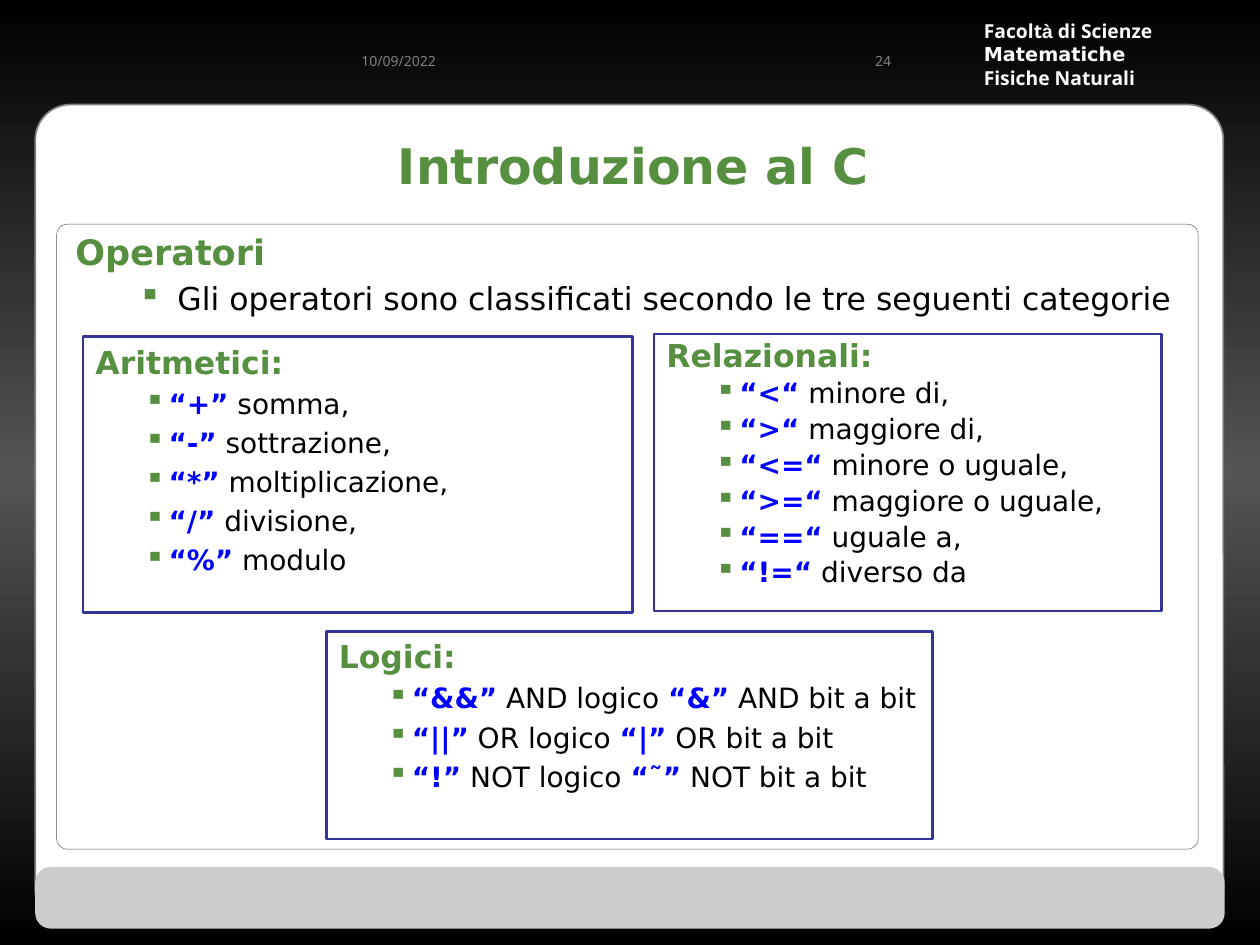
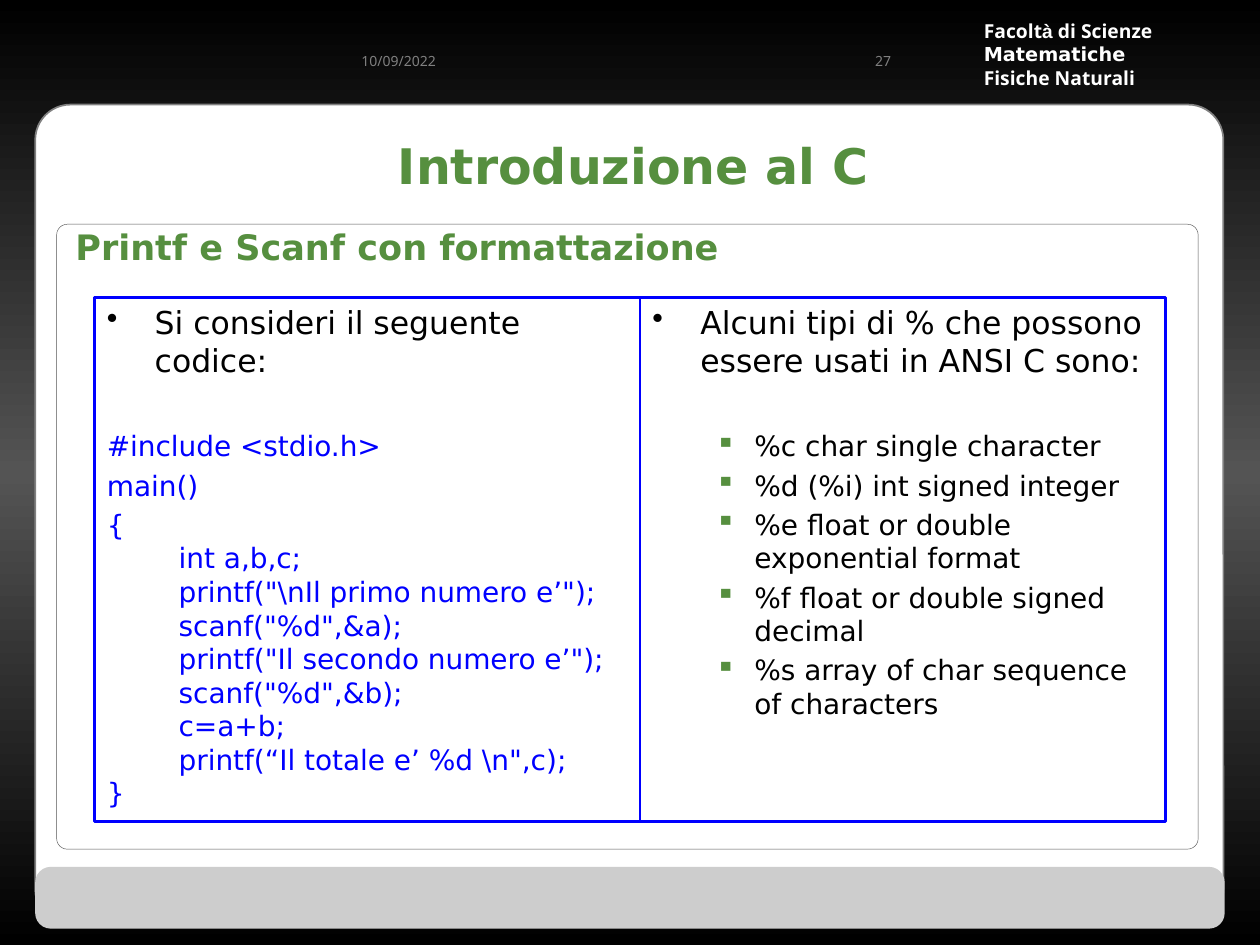
from pptx import Presentation
from pptx.dml.color import RGBColor
from pptx.enum.shapes import MSO_SHAPE
from pptx.enum.text import MSO_ANCHOR, PP_ALIGN
from pptx.oxml import parse_xml
from pptx.oxml.ns import nsdecls, qn
from pptx.util import Inches, Pt

# Shared colours and fonts
GREEN, BLUE, NAVY = "568F3F", "0000FF", "333399"
BLACK, WHITE, GREY, DARK, PALE = "000000", "FFFFFF", "808080", "545454", "CDCDCD"
SANS, NOTO = "DejaVu Sans", "Noto Sans"

# Text styles: font values, then paragraph values
# "alt" holds what changes in every second run of a paragraph
PLAIN = {"color": BLACK, "bold": False}
STYLES = {
    "title": {"font": {"size": 28, "color": GREEN, "bold": True},
              "before": 5.6, "align": PP_ALIGN.CENTER},
    "head": {"font": {"size": 20, "color": GREEN, "bold": True}, "before": 4},
    "sub": {"font": {"size": 18, "color": GREEN, "bold": True}, "before": 3.6},
    "lead": {"font": {"size": 18, "color": BLACK}, "before": 3.6,
             "left": 0.81, "hang": 0.31, "mark": "▪", "tint": GREEN},
    "op": {"font": {"size": 16, "color": BLUE, "bold": True}, "alt": PLAIN,
           "before": 3.2, "left": 0.58, "hang": 0.19, "mark": "▪", "tint": GREEN},
    "dot": {"font": {"size": 18, "color": BLACK}, "before": 3.6,
            "left": 0.38, "hang": 0.38, "mark": "•", "tint": BLACK},
    "item": {"font": {"size": 16, "color": BLACK}, "before": 3.2,
             "left": 0.81, "hang": 0.31, "mark": "▪", "tint": GREEN},
    "code": {"font": {"size": 16, "color": BLUE}, "before": 3.2},
    "deep": {"font": {"size": 16, "color": BLUE}, "left": 0.57},
    "end": {"font": {"size": 16, "color": BLUE}},
    "note": {"font": {"size": 8, "color": GREY, "name": NOTO},
             "align": PP_ALIGN.RIGHT},
    "unit": {"font": {"size": 11, "color": WHITE, "bold": True, "name": NOTO},
             "alt": {"name": "Arial"}},
    "unit2": {"font": {"size": 11, "color": WHITE, "bold": True}},
}
# First line after a gap of one 18 point line
for name in ("code", "item"):
    STYLES[name + " gap"] = {**STYLES[name], "before": 28.5}


def rgb(code):
    return RGBColor.from_string(code)


def write(slide, place, paras, middle=False, edge=None, lines=None):
    """Add a text box; each paragraph is a style name and its runs."""
    box = slide.shapes.add_textbox(*map(Inches, place))
    if edge:
        box.line.color.rgb = rgb(edge)
        box.line.width = Pt(1.5)
    frame = box.text_frame
    frame.word_wrap = True
    frame.vertical_anchor = MSO_ANCHOR.MIDDLE if middle else MSO_ANCHOR.TOP
    for n, (name, *runs) in enumerate(paras):
        style = STYLES[name]
        para = frame.paragraphs[0] if n == 0 else frame.add_paragraph()
        para.alignment = style.get("align", PP_ALIGN.LEFT)
        para.space_before = Pt(style.get("before", 0))
        if lines:
            para.line_spacing = lines
        props = para._p.get_or_add_pPr()
        props.set("marL", str(Inches(style.get("left", 0))))
        props.set("indent", str(-Inches(style.get("hang", 0))))
        if "mark" in style:
            props.append(parse_xml(f'<a:buClr {nsdecls("a")}><a:srgbClr val="{style["tint"]}"/></a:buClr>'))
            props.append(parse_xml(f'<a:buChar {nsdecls("a")} char="{style["mark"]}"/>'))
        for i, words in enumerate(runs):
            run = para.add_run()
            run.text = words
            look = {"name": SANS, **style["font"]}
            if i % 2:
                look.update(style.get("alt", {}))
            for key, value in look.items():
                if key == "color":
                    run.font.color.rgb = rgb(value)
                else:
                    setattr(run.font, key, Pt(value) if key == "size" else value)


prs = Presentation()
prs.slide_width, prs.slide_height = Inches(10), Inches(7.5)

# Rounded panels: place, corner, fill, line colour, line width
PANELS = [
    ((0.28, 0.83, 9.43, 6.51), 0.043, WHITE, GREY, 1),
    ((0.28, 6.88, 9.44, 0.49), 0.252, PALE, None, 0),
    ((0.45, 1.78, 9.06, 4.96), 0.017, None, DARK, 0.25),
]

# What both slides share
slides = []
for number in ("24", "27"):
    slide = prs.slides.add_slide(prs.slide_layouts[6])
    slides.append(slide)

    # Background fades from black to grey and back
    fill = slide.background.fill
    fill.gradient()
    fill.gradient_angle = 90
    stops = slide.element.find(".//" + qn("a:gsLst"))
    stops.clear()
    for spot, tone in ((0, BLACK), (50, DARK), (100, BLACK)):
        stops.append(parse_xml(f'<a:gs {nsdecls("a")} pos="{spot * 1000}"><a:srgbClr val="{tone}"/></a:gs>'))

    for place, corner, inside, edge, width in PANELS:
        panel = slide.shapes.add_shape(MSO_SHAPE.ROUNDED_RECTANGLE, *map(Inches, place))
        panel.adjustments[0] = corner
        panel.shadow.inherit = False
        if inside:
            panel.fill.solid()
            panel.fill.fore_color.rgb = rgb(inside)
        else:
            panel.fill.background()
        if edge:
            panel.line.color.rgb = rgb(edge)
            panel.line.width = Pt(width)
        else:
            panel.line.fill.background()

    # Header texts and title
    write(slide, (7.71, 0.22, 1.83, 0.42), [
        ("unit", "Facolt", "à", " di Scienze"),
        ("unit2", "Matematiche"),
        ("unit", "Fisiche Naturali")], middle=True)
    write(slide, (6.42, 0.23, 0.75, 0.5), [("note", number)], middle=True)
    write(slide, (2.5, 0.23, 1.06, 0.5), [("note", "10/09/2022")], middle=True)
    write(slide, (0.35, 0.84, 9.35, 0.94), [("title", "Introduzione al C")], middle=True)

# Slide 1: operators
first, second = slides
write(first, (0.5, 1.78, 8.91, 4.92), [
    ("head", "Operatori"),
    ("lead", "Gli operatori sono classificati secondo le tre seguenti categorie")])
write(first, (5.19, 2.65, 4.03, 2.2), [
    ("sub", "Relazionali:"),
    ("op", "“<“", " minore di,"),
    ("op", "“>“", " maggiore di,"),
    ("op", "“<=“", " minore o uguale,"),
    ("op", "“>=“", " maggiore o uguale,"),
    ("op", "“==“", " uguale a,"),
    ("op", "“!=“", " diverso da")], edge=NAVY, lines=0.9)
write(first, (0.66, 2.67, 4.36, 2.19), [
    ("sub", "Aritmetici:"),
    ("op", "“+”", " somma,"),
    ("op", "“-”", " sottrazione,"),
    ("op", "“*”", " moltiplicazione,"),
    ("op", "“/”", " divisione,"),
    ("op", "“%”", " modulo")], edge=NAVY)
write(first, (2.59, 5.01, 4.81, 1.65), [
    ("sub", "Logici:"),
    ("op", "“&&”", " AND logico ", "“&”", " AND bit a bit"),
    ("op", "“||”", " OR logico ", "“|”", " OR bit a bit"),
    ("op", "“!”", " NOT logico ", "“˜”", " NOT bit a bit")], edge=NAVY)

# Slide 2: formatted input and output
write(second, (0.5, 1.78, 9, 4.92), [("head", "Printf e Scanf con formattazione")], lines=0.9)
write(second, (0.75, 2.36, 4.33, 4.16), [
    ("dot", "Si consideri il seguente codice:"),
    ("code gap", "#include <stdio.h>"),
    ("code", "main()"),
    ("code", "{"),
    ("deep", "int a,b,c;"),
    ("deep", 'printf("\\nIl primo numero e’");'),
    ("deep", 'scanf("%d",&a);'),
    ("deep", 'printf("Il secondo numero e’");'),
    ("deep", 'scanf("%d",&b);'),
    ("deep", "c=a+b;"),
    ("deep", 'printf(“Il totale e’ %d \\n",c);'),
    ("end", "}")], edge=BLUE)
write(second, (5.08, 2.36, 4.17, 4.16), [
    ("dot", "Alcuni tipi di % che possono essere usati in ANSI C sono:"),
    ("item gap", "%c char single character"),
    ("item", "%d (%i) int signed integer"),
    ("item", "%e float or double exponential format"),
    ("item", "%f float or double signed decimal"),
    ("item", "%s array of char sequence of characters")], edge=BLUE)

prs.save("out.pptx")
